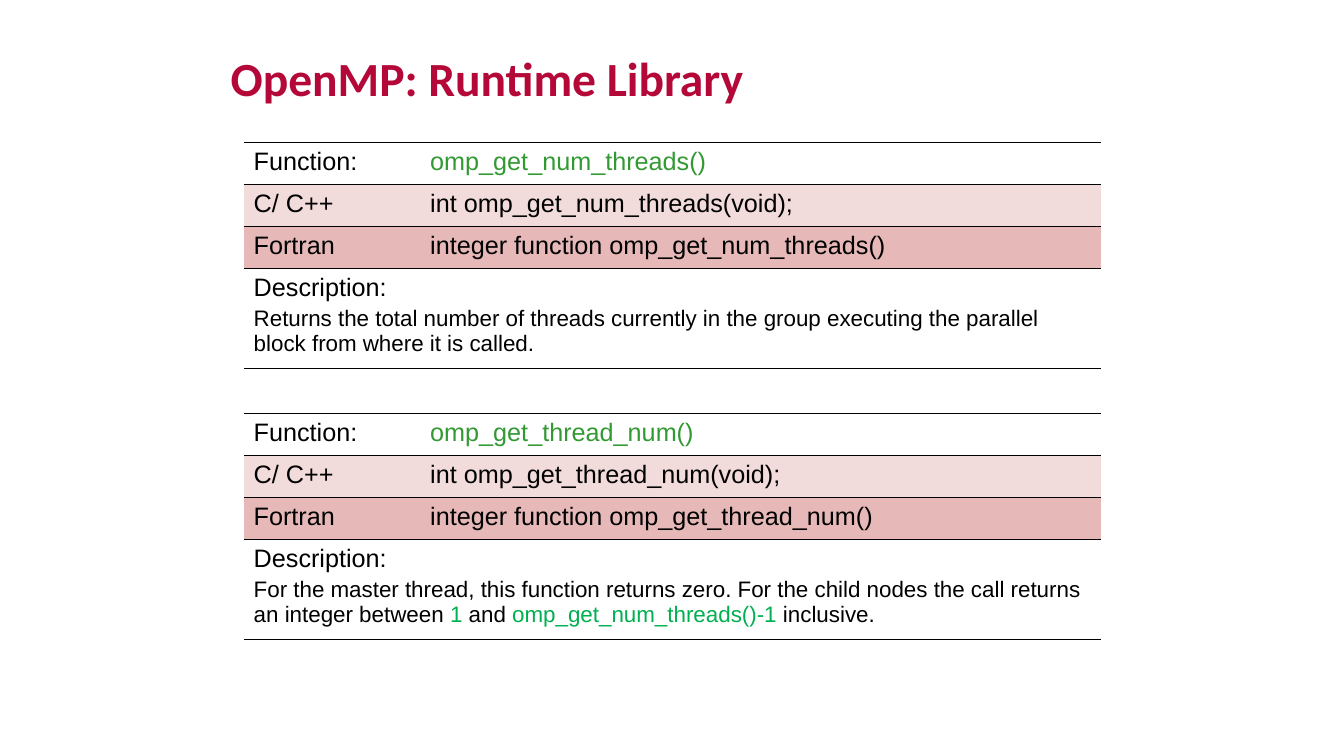
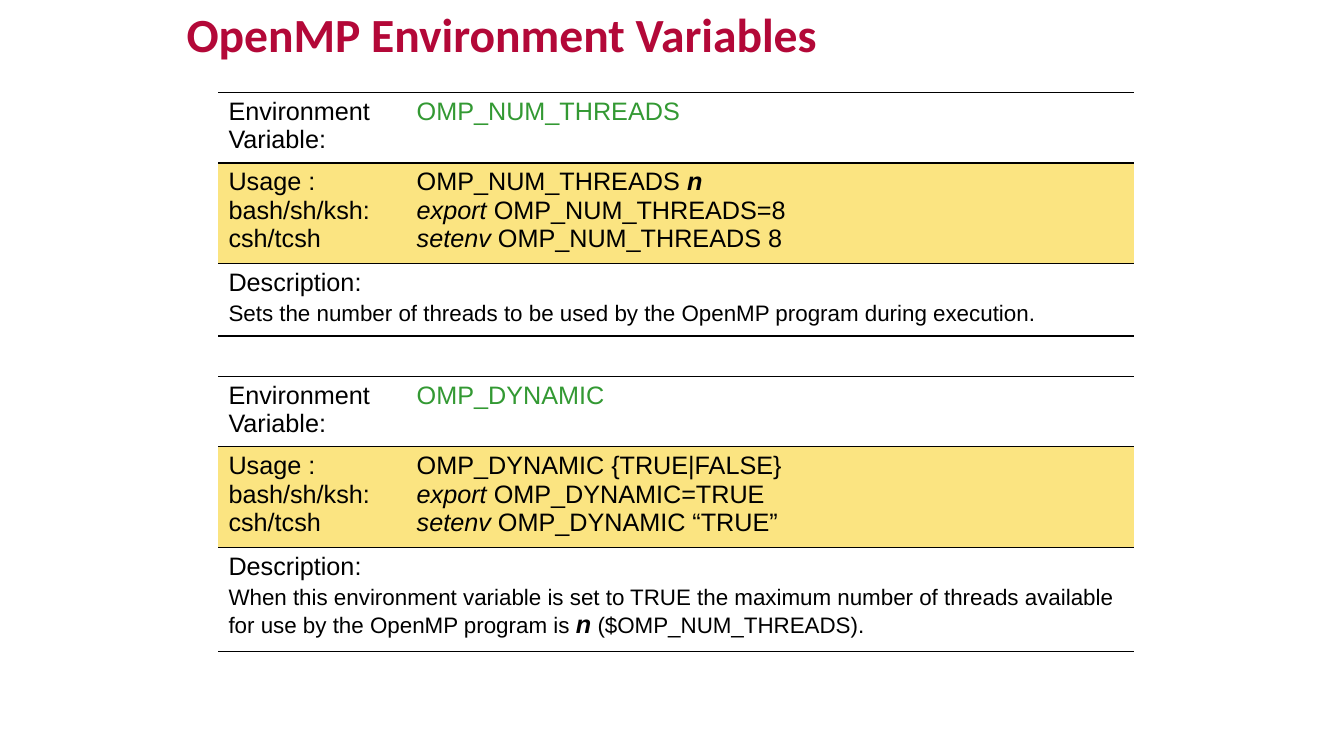
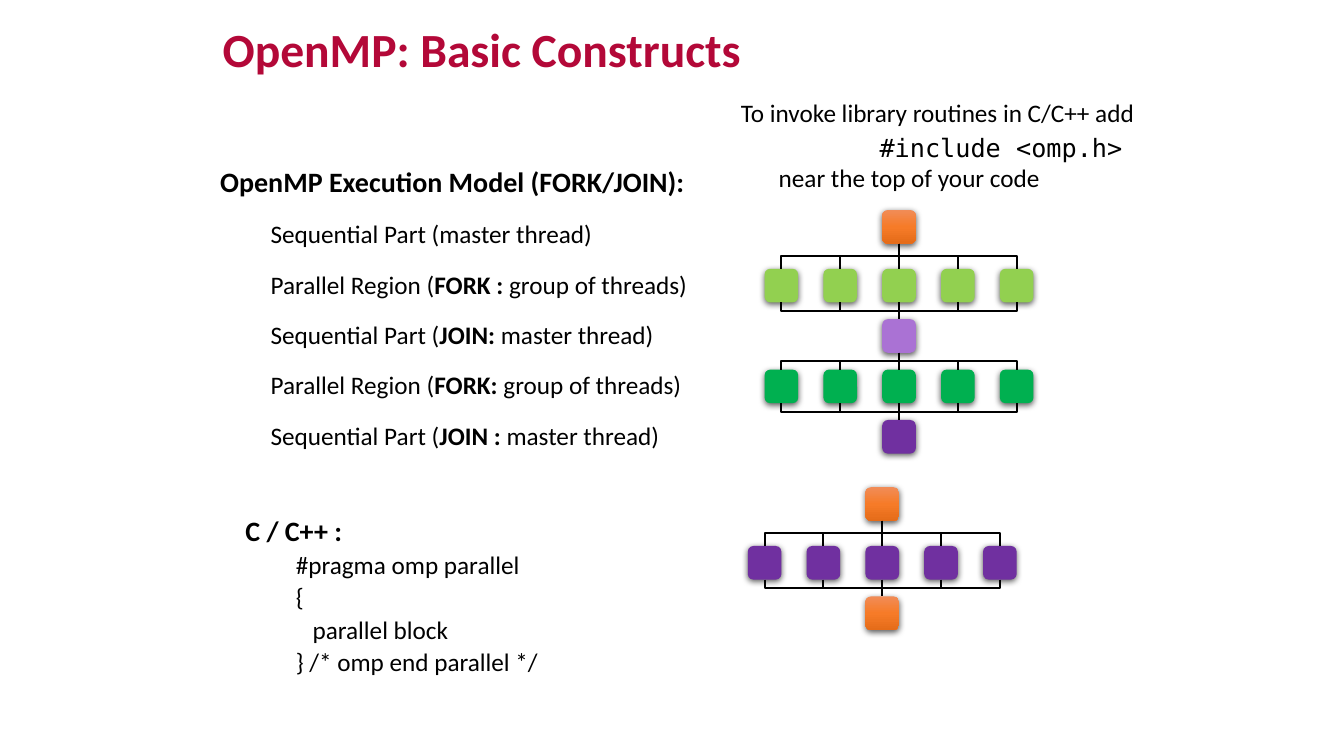
import copy
import pptx
import pptx.util
import pptx.dml.color
import pptx.enum.dml
import pptx.enum.shapes
import pptx.enum.text
import pptx.oxml
import pptx.oxml.ns
import lxml.etree

# Shared look
CRIMSON, BLACK = "B30838", "000000"
NAME_GREEN, VALUE_GREEN = "339933", "00B050"
PALE_ROSE, ROSE, YELLOW = "F2DCDB", "E6B9B8", "FBE481"
LIME, LILAC, PURPLE = "92D050", "AA72D4", "7030A0"
ORANGE = ("F18C57", "F67B28", "E56C19")
CODE_FONT = "DejaVu Sans Mono"
PARAGRAPH_GAP = 3.2

BOLD, ITALIC = {"bold": True}, {"italic": True}
BOLD_ITALIC = {"bold": True, "italic": True}


def grid(count):
    """Twelve grid columns or rows make one inch."""
    return pptx.util.Inches(count / 12)


def rgb(color):
    return pptx.dml.color.RGBColor.from_string(color)


def add_xml(parent, tag, **attributes):
    return lxml.etree.SubElement(parent, pptx.oxml.ns.qn(tag), attributes)


# Text
def write(paragraph, text, size=18, font="Calibri", color=BLACK, bold=False, italic=False):
    for number, line in enumerate(text.split("\n")):
        if number:
            paragraph.add_line_break()
        if line:
            run = paragraph.add_run()
            run.text = line
            run.font.size = pptx.util.Pt(size)
            run.font.name = font
            run.font.bold, run.font.italic = bold, italic
            run.font.color.rgb = rgb(color)


def write_runs(paragraph, content, **style):
    """Content is a string or a list of strings and (string, format) pairs."""
    for part in [content] if isinstance(content, str) else content:
        text, extra = (part, {}) if isinstance(part, str) else part
        write(paragraph, text, **{**style, **extra})


def next_paragraph(frame, number):
    return frame.add_paragraph() if number else frame.paragraphs[0]


def indent(paragraph, margin, first_line=0):
    properties = paragraph._p.get_or_add_pPr()
    properties.set("marL", str(grid(margin)))
    properties.set("indent", str(grid(first_line)))
    add_xml(properties, "a:buNone")


def place(shape, left, top, width, height):
    shape.left, shape.top = grid(left), grid(top)
    shape.width, shape.height = grid(width), grid(height)
    frame = shape.text_frame
    frame.word_wrap = True
    frame.auto_size = pptx.enum.text.MSO_AUTO_SIZE.NONE
    frame.vertical_anchor = pptx.enum.text.MSO_ANCHOR.TOP
    return frame


def titled_slide(deck, layout, title, left, top, width):
    slide = deck.slides.add_slide(deck.slide_layouts[layout])
    heading = place(slide.shapes.title, left, top, width, 7.3).paragraphs[0]
    heading.alignment = pptx.enum.text.PP_ALIGN.LEFT
    write(heading, title, size=34, color=CRIMSON, bold=True)
    return slide


def outline(placeholder, box, heading, items, spacing, heading_spacing):
    """A bold heading over items, each a (margin, content) pair."""
    frame = place(placeholder, *box)
    first = frame.paragraphs[0]
    first.line_spacing = heading_spacing
    indent(first, 0)
    write(first, heading, size=20, bold=True)
    for margin, content in items:
        item = frame.add_paragraph()
        item.level = 1
        item.line_spacing = spacing
        indent(item, margin)
        write_runs(item, content)


# Reference tables
def format_cell(cell, fill=None):
    properties = cell._tc.get_or_add_tcPr()
    for side in "LRTB":
        edge = add_xml(properties, "a:ln" + side, w=str(pptx.util.Pt(1)))
        if side in "LR":
            add_xml(edge, "a:noFill")
        else:
            add_xml(add_xml(edge, "a:solidFill"), "a:srgbClr", val=BLACK)
    if fill:
        cell.fill.solid()
        cell.fill.fore_color.rgb = rgb(fill)
    else:
        cell.fill.background()


def reference_table(slide, left, top, columns, heights, entries, description):
    """Entries are (label, content, fill) rows; the description spans the last row."""
    table = slide.shapes.add_table(len(heights), len(columns), grid(left), grid(top),
                                   grid(sum(columns)), grid(sum(heights))).table
    table.first_row = table.horz_banding = False
    for column, width in zip(table.columns, columns):
        column.width = grid(width)
    for row, height in zip(table.rows, heights):
        row.height = grid(height)

    for row, (label, content, fill) in enumerate(entries):
        for column, text in enumerate((label, content)):
            cell = table.cell(row, column)
            format_cell(cell, fill)
            write_runs(cell.text_frame.paragraphs[0], text, font="Arial")

    last = len(heights) - 1
    summary = table.cell(last, 0)
    summary.merge(table.cell(last, 1))
    for column in range(2):
        format_cell(table.cell(last, column))
    for number, (text, size) in enumerate((("Description:", 18), (description, 16))):
        paragraph = next_paragraph(summary.text_frame, number)
        if number:
            paragraph.space_before = pptx.util.Pt(PARAGRAPH_GAP)
        write_runs(paragraph, text, font="Arial", size=size)


def function_table(slide, top, name, description):
    entries = [("Function:", [(name + "()", {"color": NAME_GREEN})], None),
               ("C/ C++", f"int {name}(void);", PALE_ROSE),
               ("Fortran", f"integer function {name}()", ROSE)]
    reference_table(slide, 29, top, (21, 81), (5, 5, 5, 11.9), entries, description)


def variable_table(slide, top, name, usage, bash, csh, description, description_height):
    commands = [name + " ", *usage, "\n", ("export", ITALIC), f" {name}{bash}\n",
                ("setenv", ITALIC), f" {name} {csh}"]
    entries = [("Environment Variable:", [(name, {"color": NAME_GREEN})], None),
               ("Usage :\nbash/sh/ksh:\ncsh/tcsh", commands, YELLOW)]
    reference_table(slide, 26, top, (22.4, 86.6), (8.4, 12, description_height),
                    entries, description)


# Fork and join diagram
THREAD_SIZE, THREAD_PITCH, GROUP = 4, 7, 5


def thread_box(slide, left, top, color):
    box = slide.shapes.add_shape(pptx.enum.shapes.MSO_SHAPE.ROUNDED_RECTANGLE,
                                 grid(left), grid(top), grid(THREAD_SIZE), grid(THREAD_SIZE))
    if isinstance(color, str):
        box.fill.solid()
        box.fill.fore_color.rgb = rgb(color)
    else:
        box.fill.gradient()
        box.fill.gradient_angle = 270
        stops = box._element.spPr.find(".//" + pptx.oxml.ns.qn("a:gsLst"))
        stops.append(copy.deepcopy(stops[0]))
        for number, (stop, shade) in enumerate(zip(box.fill.gradient_stops, color)):
            stop.position = number / 2
            stop.color.rgb = rgb(shade)
    box.line.fill.background()
    # Soft shadow below the box
    box.shadow.inherit = False
    effects = box._element.spPr.find(pptx.oxml.ns.qn("a:effectLst"))
    shadow = add_xml(effects, "a:outerShdw", blurRad=str(pptx.util.Pt(4.5)),
                     dist=str(pptx.util.Pt(1.5)), dir="5400000", rotWithShape="0")
    add_xml(add_xml(shadow, "a:srgbClr", val=BLACK), "a:alpha", val="63000")


def branch(slide, x1, y1, x2, y2):
    """A line that runs down, across and down again."""
    kinds = pptx.enum.shapes.MSO_CONNECTOR
    if x1 == x2:
        line = slide.shapes.add_connector(kinds.STRAIGHT, grid(x1), grid(y1), grid(x2), grid(y2))
    else:
        # An elbow leaves sideways, so it is laid flat and turned about its centre
        x, y = (x1 + x2) / 2, (y1 + y2) / 2
        along, across = (y2 - y1) / 2, abs(x2 - x1) / 2
        line = slide.shapes.add_connector(kinds.ELBOW, grid(x - along), grid(y - across),
                                          grid(x + along), grid(y + across))
        frame = line._element.spPr.find(pptx.oxml.ns.qn("a:xfrm"))
        frame.set("rot", "5400000" if x2 < x1 else "16200000")
        if x2 > x1:
            frame.set("flipH", "1")
    line.line.color.rgb = rgb(BLACK)
    line.line.width = pptx.util.Pt(1.5)
    add_xml(line._element.spPr, "a:effectLst")


def fork_join(slide, left, top, levels):
    """Levels are (row, thread count, colour), rows counted from the top."""
    above = None
    for row, count, color in levels:
        first = (GROUP - count) / 2
        lefts = [left + (first + number) * THREAD_PITCH for number in range(count)]
        for thread_left in lefts:
            thread_box(slide, thread_left, top + row, color)
        centres = [thread_left + THREAD_SIZE / 2 for thread_left in lefts]
        if above:
            above_centres, above_bottom = above
            for start in above_centres:
                for end in centres:
                    branch(slide, start, above_bottom, end, top + row)
        above = centres, top + row + THREAD_SIZE


# Slides
def runtime_library(deck):
    slide = titled_slide(deck, 5, "OpenMP: Runtime Library", 26.25, 5.25, 108)
    function_table(slide, 17, "omp_get_num_threads",
                   "Returns the total number of threads currently in the group executing "
                   "the parallel block from where it is called.")
    value = {"color": VALUE_GREEN}
    function_table(slide, 49.2, "omp_get_thread_num",
                   ["For the master thread, this function returns zero. For the child nodes "
                    "the call returns an integer between ", ("1", value), " and ",
                    ("omp_get_num_threads()-1", value), " inclusive."])


def environment_variables(deck):
    slide = titled_slide(deck, 5, "OpenMP Environment Variables", 21, 0, 115)
    variable_table(slide, 11, "OMP_NUM_THREADS", [("n", BOLD_ITALIC)], "=8", "8",
                   "Sets the number of threads to be used by the OpenMP program "
                   "during execution.", 8.6)
    variable_table(slide, 44.8, "OMP_DYNAMIC", ["{TRUE|FALSE}"], "=TRUE", "“TRUE”",
                   ["When this environment variable is set to TRUE the maximum number of "
                    "threads available for use by the OpenMP program is ",
                    ("n", {"size": 18, **BOLD_ITALIC}), " ($OMP_NUM_THREADS)."], 12.4)


def include_note(slide, left, top, width, height):
    note = place(slide.shapes.add_textbox(0, 0, 0, 0), left, top, width, height)
    write(note.paragraphs[0], "To invoke library routines in C/C++ add")
    include = note.add_paragraph()
    include.space_before = pptx.util.Pt(PARAGRAPH_GAP)
    indent(include, 4.5, 12)
    write_runs(include, [("#include <omp.h>", {"font": CODE_FONT}),
                         "\nnear the top of your code"])


def basic_constructs(deck):
    slide = titled_slide(deck, 3, "OpenMP: Basic Constructs", 25.3, 1.8, 110.8)
    model, code = slide.placeholders[1], slide.placeholders[2]
    stages = ["Sequential Part (master thread)",
              ["Parallel Region (", ("FORK : ", BOLD), "group of threads)"],
              ["Sequential Part (", ("JOIN: ", BOLD), "master thread)"],
              ["Parallel Region (", ("FORK:", BOLD), " group of threads)"],
              ["Sequential Part (", ("JOIN : ", BOLD), "master thread)"]]
    outline(model, (25, 19, 60, 37), "OpenMP Execution Model (FORK/JOIN):",
            [(6, stage) for stage in stages], 1.5, 1.0)
    outline(code, (28, 61, 48, 18), "C / C++ :",
            [(6, "#pragma omp parallel"), (6, "{"), (8, "parallel block"),
             (6, "} /* omp end parallel */")], 0.9, 0.9)
    include_note(slide, 87, 11, 53, 17)
    fork_join(slide, 91, 25, [(0, 1, ORANGE), (7, GROUP, LIME), (13, 1, LILAC),
                              (19, GROUP, VALUE_GREEN), (25, 1, PURPLE)])
    fork_join(slide, 89, 58, [(0, 1, ORANGE), (7, GROUP, PURPLE), (13, 1, ORANGE)])


def main():
    deck = pptx.Presentation()
    deck.slide_width, deck.slide_height = pptx.util.Inches(13.33), pptx.util.Inches(7.5)
    runtime_library(deck)
    environment_variables(deck)
    basic_constructs(deck)
    deck.save("out.pptx")


if __name__ == "__main__":
    main()
